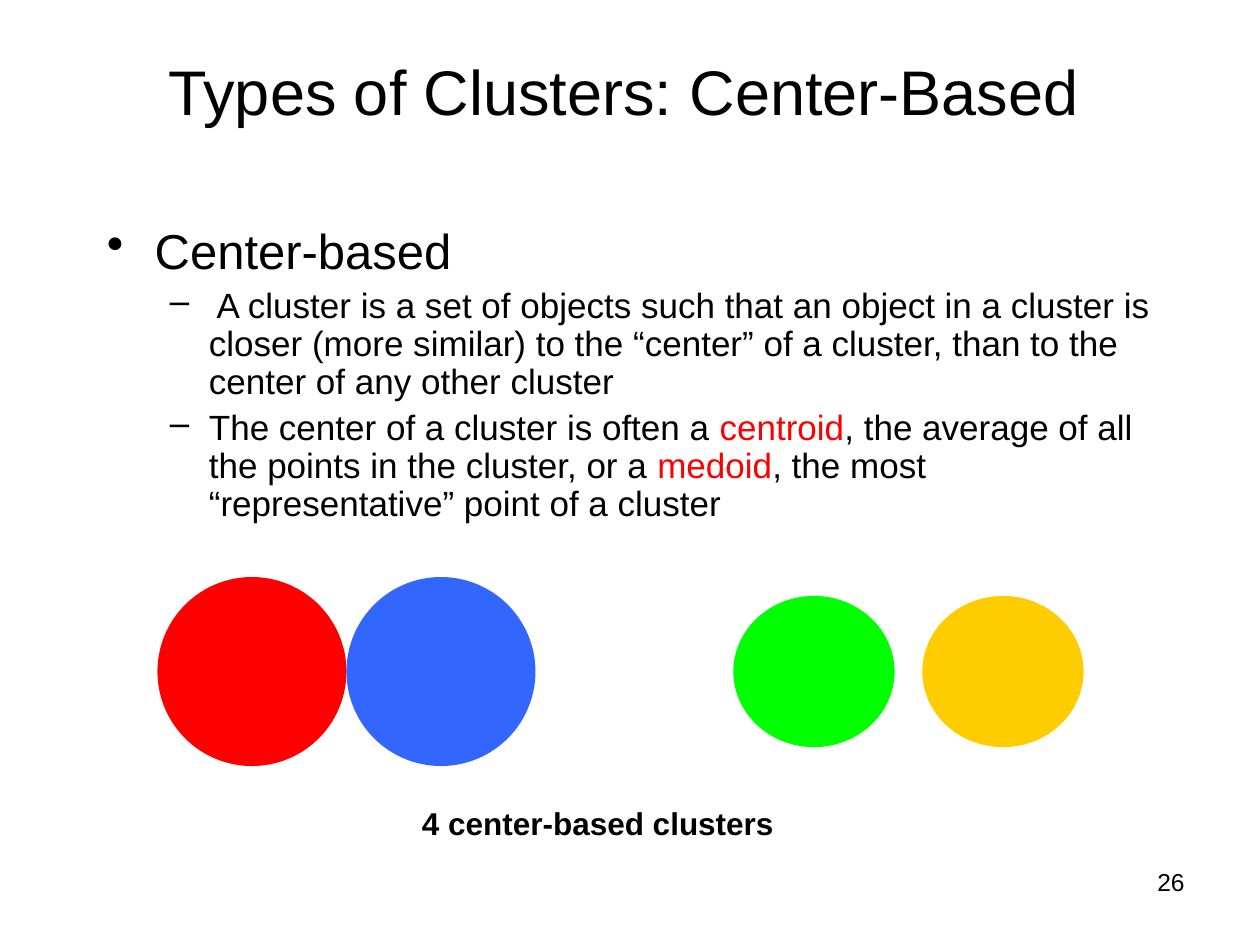
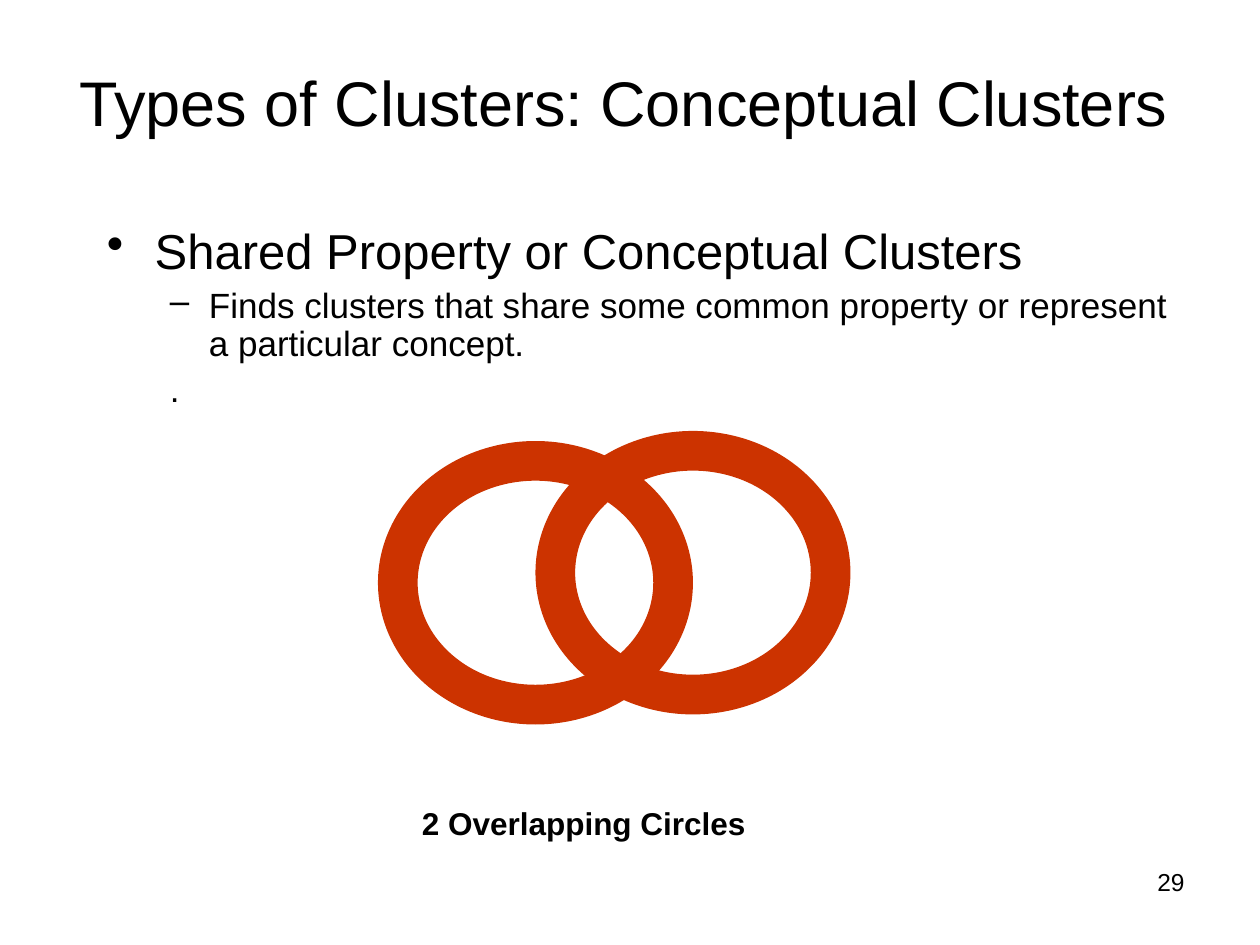
from lxml import etree
from pptx import Presentation
from pptx import util as u
from pptx.dml import color
from pptx.enum import shapes, text
from pptx.oxml import ns

FONT = "Arial"
BLACK, RED, BLUE, GREEN, GOLD, RUST = "000000", "FF0000", "3366FF", "00FF00", "FFCC00", "CC3300"
TITLE_LAYOUT = 5
LEVELS = [
    dict(size=28, left=0.38, hanging=0.38, before=7),
    dict(size=20, left=0.81, hanging=0.31, before=5),
]


def rgb(hex_string):
    return color.RGBColor.from_string(hex_string)


def place(shape, box):
    shape.left, shape.top, shape.width, shape.height = map(u.Inches, box)


def add_bullet(paragraph, bullet, left, hanging):
    properties = paragraph._p.get_or_add_pPr()
    properties.set("marL", str(u.Inches(left)))
    properties.set("indent", str(-u.Inches(hanging)))
    if bullet:
        bullet_color = etree.SubElement(properties, ns.qn("a:buClr"))
        etree.SubElement(bullet_color, ns.qn("a:srgbClr"), val=BLACK)
        etree.SubElement(properties, ns.qn("a:buChar"), char=bullet)
    else:
        etree.SubElement(properties, ns.qn("a:buNone"))


def write(paragraph, content, size, bold=False, align=text.PP_ALIGN.LEFT, highlights=()):
    paragraph.alignment = align
    paragraph.font.size = u.Pt(size)
    pieces = [content]
    for word in highlights:
        before, after = pieces.pop().split(word)
        pieces += [before, word, after]
    for piece in pieces:
        run = paragraph.add_run()
        run.text = piece
        run.font.name = FONT
        run.font.size = u.Pt(size)
        run.font.bold = bold
        run.font.color.rgb = rgb(RED if piece in highlights else BLACK)


def add_text_box(slide, box):
    shape = slide.shapes.add_textbox(*map(u.Inches, box))
    shape.text_frame.word_wrap = True
    return shape.text_frame


def add_title(slide, box, content):
    title = slide.shapes.title
    place(title, box)
    frame = title.text_frame
    frame.auto_size = text.MSO_AUTO_SIZE.NONE
    frame.vertical_anchor = text.MSO_ANCHOR.MIDDLE
    write(frame.paragraphs[0], content, 36, align=text.PP_ALIGN.CENTER)


def add_body(slide, box, items):
    frame = add_text_box(slide, box)
    for index, (level, bullet, content, highlights) in enumerate(items):
        paragraph = frame.add_paragraph() if index else frame.paragraphs[0]
        style = LEVELS[level]
        add_bullet(paragraph, bullet, style["left"], style["hanging"])
        paragraph.level = level
        paragraph.line_spacing = 0.9
        if index:
            paragraph.space_before = u.Pt(style["before"])
        write(paragraph, content, style["size"], highlights=highlights)


def add_caption(slide, box, content):
    write(add_text_box(slide, box).paragraphs[0], content, 18, bold=True)


def add_page_number(slide, box, number):
    write(add_text_box(slide, box).paragraphs[0], str(number), 14, align=text.PP_ALIGN.RIGHT)


def add_figure_shape(slide, kind, box, fill):
    shape = slide.shapes.add_shape(kind, *map(u.Inches, box))
    shape.shadow.inherit = False
    shape.fill.solid()
    shape.fill.fore_color.rgb = rgb(fill)
    shape.line.fill.background()
    return shape


def add_cluster_pair(slide, box, step, fills):
    left, top, width, height = box
    for index, fill in enumerate(fills):
        cluster_box = (left + index * step, top, width, height)
        add_figure_shape(slide, shapes.MSO_SHAPE.OVAL, cluster_box, fill)


def add_overlapping_rings(slide, box):
    left, top, width, height = box
    for ring_left, ring_top in ((left, top + 0.08), (left + width / 2, top)):
        ring_box = (ring_left, ring_top, width, height)
        ring = add_figure_shape(slide, shapes.MSO_SHAPE.DONUT, ring_box, RUST)
        ring.adjustments[0] = 0.14


def add_cluster_slide(presentation, title, title_top, items, caption, number):
    slide = presentation.slides.add_slide(presentation.slide_layouts[TITLE_LAYOUT])
    add_title(slide, (0.42, title_top, 9.06, 0.6), title)
    add_body(slide, (0.75, 1.75, 8.66, 4.88), items)
    add_caption(slide, (3.25, 6.33, 3.5, 0.4), caption)
    add_page_number(slide, (7.17, 6.83, 2.33, 0.52), number)
    return slide


def main():
    presentation = Presentation()
    presentation.slide_width, presentation.slide_height = u.Inches(10), u.Inches(7.5)

    center_based = add_cluster_slide(
        presentation, "Types of Clusters: Center-Based", 0.42,
        [
            (0, "•", "Center-based", ()),
            (1, "–", " A cluster is a set of objects such that an object in a cluster is closer "
             "(more similar) to the “center” of a cluster, than to the center of any other cluster", ()),
            (1, "–", "The center of a cluster is often a centroid, the average of all the points in "
             "the cluster, or a medoid, the most “representative” point of a cluster",
             ("centroid", "medoid")),
        ],
        "4 center-based clusters", 26)
    add_cluster_pair(center_based, (1.25, 4.58, 1.5, 1.5), 1.5, (RED, BLUE))
    add_cluster_pair(center_based, (5.82, 4.73, 1.28, 1.2), 1.5, (GREEN, GOLD))

    conceptual = add_cluster_slide(
        presentation, "Types of Clusters: Conceptual Clusters", 0.5,
        [
            (0, "•", "Shared Property or Conceptual Clusters", ()),
            (1, "–", "Finds clusters that share some common property or represent "
             "a particular concept.", ()),
            (1, None, ".", ()),
        ],
        "2 Overlapping Circles", 29)
    add_overlapping_rings(conceptual, (3, 3.42, 2.5, 2.25))

    presentation.save("out.pptx")


if __name__ == "__main__":
    main()
